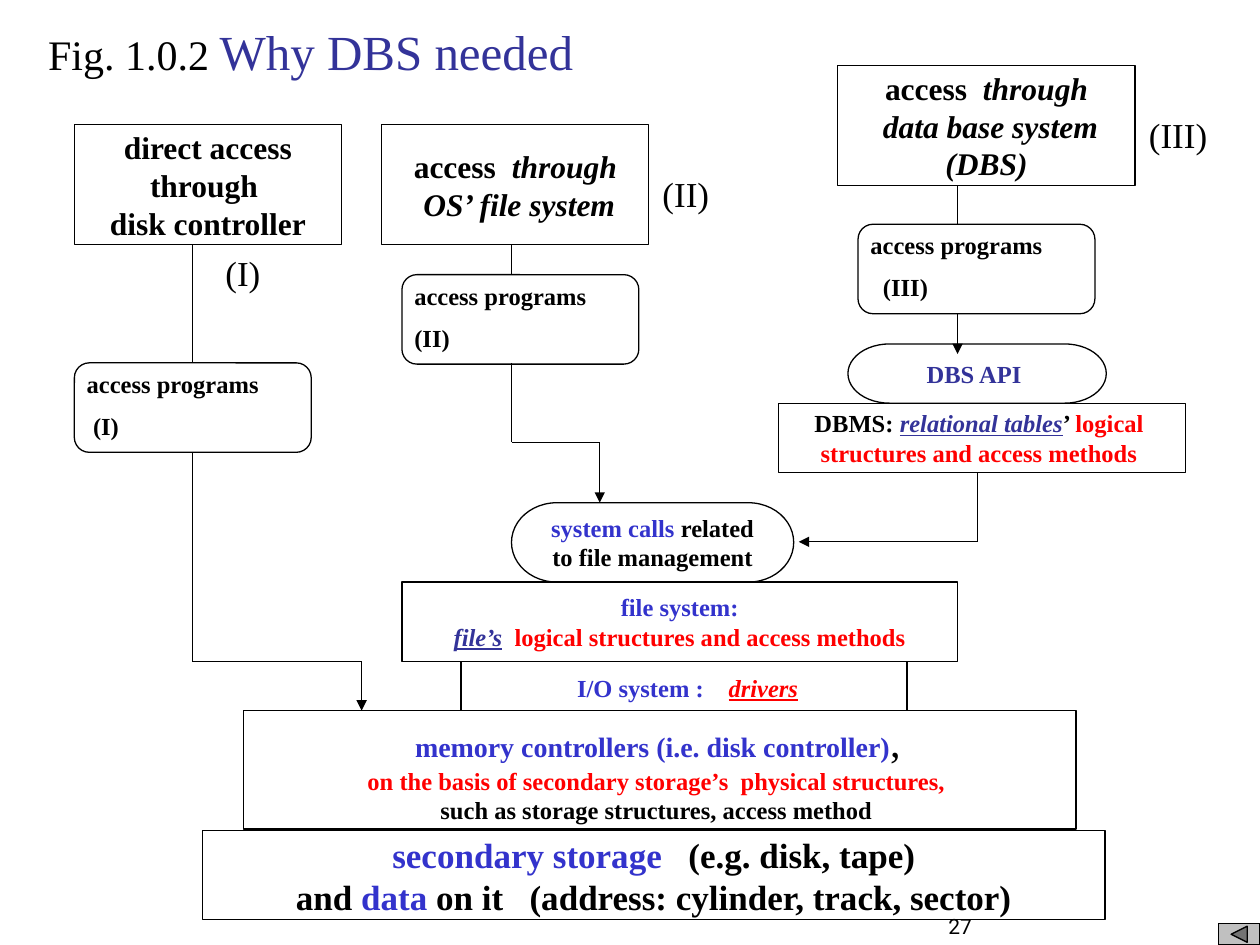
from dataclasses import dataclass

from lxml import etree
from pptx import Presentation
from pptx.dml.color import RGBColor
from pptx.enum.shapes import MSO_CONNECTOR, MSO_SHAPE
from pptx.enum.text import MSO_ANCHOR, MSO_AUTO_SIZE, PP_ALIGN
from pptx.oxml.ns import qn
from pptx.util import Inches, Pt

RECT, ROUND = MSO_SHAPE.RECTANGLE, MSO_SHAPE.ROUNDED_RECTANGLE
TERMINATOR = MSO_SHAPE.FLOWCHART_TERMINATOR
BACK_BUTTON = MSO_SHAPE.ACTION_BUTTON_BACK_OR_PREVIOUS
STRAIGHT = MSO_CONNECTOR.STRAIGHT
TOP, MIDDLE, BOTTOM = MSO_ANCHOR.TOP, MSO_ANCHOR.MIDDLE, MSO_ANCHOR.BOTTOM
LEFT, CENTER = PP_ALIGN.LEFT, PP_ALIGN.CENTER
TOP_SIDE, BOTTOM_SIDE = 0, 2


@dataclass(frozen=True)
class Theme:
    black: str = "000000"
    white: str = "FFFFFF"
    blue: str = "3333CC"
    navy: str = "333399"
    red: str = "FF0000"
    grey: str = "C0C0C0"
    font: str = "Times New Roman"
    number_font: str = "Roboto"
    title: int = 28
    figure: int = 24
    label: int = 20
    access: int = 18
    memory: int = 16
    layer: int = 14
    number: int = 12
    line: float = 0.75


T = Theme()
ITALIC = {"italic": True}
TERM = {"italic": True, "underline": True}


def inches(box):
    return [Inches(v) for v in box]


def fill_text(tf, paragraphs, size, bold=True, align=CENTER, anchor=MIDDLE, wrap=False):
    frame = {"word_wrap": wrap, "auto_size": MSO_AUTO_SIZE.NONE, "vertical_anchor": anchor}
    for name, value in frame.items():
        setattr(tf, name, value)
    for i, runs in enumerate(paragraphs):
        p = tf.paragraphs[0] if i == 0 else tf.add_paragraph()
        p.alignment = align
        for text, color, *extra in runs:
            r = p.add_run()
            r.text = text
            formats = {"name": T.font, "size": size, "bold": bold}
            formats.update(extra[0] if extra else {})
            formats["size"] = Pt(formats["size"])
            for name, value in formats.items():
                setattr(r.font, name, value)
            r.font.color.rgb = RGBColor.from_string(color)


def add_box(s, kind, box, paragraphs=(), size=T.layer, fill=None):
    sp = s.shapes.add_shape(kind, *inches(box))
    sp.shadow.inherit = False
    if fill:
        sp.fill.solid()
        sp.fill.fore_color.rgb = RGBColor.from_string(fill)
    else:
        sp.fill.background()
    sp.line.color.rgb = RGBColor.from_string(T.black)
    sp.line.width = Pt(T.line)
    fill_text(sp.text_frame, paragraphs, size)
    return sp


def add_text(s, box, paragraphs, size, **options):
    tf = s.shapes.add_textbox(*inches(box)).text_frame
    fill_text(tf, paragraphs, size, **options)
    return tf


def add_program(s, left, top, number, indent=0):
    sp = add_box(s, ROUND, (left, top, 1.88, 0.71))
    lines = [[("access programs", T.black)], [(number, T.black)]]
    tf = add_text(s, (left, top, 2.13, 0.68), lines, T.layer, align=LEFT, anchor=TOP, wrap=True)
    p = tf.paragraphs[1]
    p.space_before = Pt(T.layer / 2)
    p._p.get_or_add_pPr().set("marL", str(Inches(indent)))
    return sp


def add_route(s, points, arrow=False, start=None, end=None):
    for (x1, y1), (x2, y2) in zip(points, points[1:]):
        line = s.shapes.add_connector(STRAIGHT, *inches((x1, y1, x2, y2)))
        line.line.color.rgb = RGBColor.from_string(T.black)
        line.line.width = Pt(T.line)
        etree.SubElement(line._element.spPr, qn("a:effectLst"))
        if start and (x1, y1) == points[0]:
            line.begin_connect(start, BOTTOM_SIDE)
        if end and (x2, y2) == points[-1]:
            line.end_connect(end, TOP_SIDE)
    if arrow:
        etree.SubElement(line.line._get_or_add_ln(), qn("a:tailEnd"), type="triangle")


def add_title(s):
    sp = s.shapes.title
    sp.left, sp.top, sp.width, sp.height = inches((-0.17, 0, 5.27, 0.69))
    runs = [("Fig. 1.0.2 ", T.black, {"size": T.figure}), ("Why DBS needed", T.navy)]
    fill_text(sp.text_frame, [runs], T.title, bold=False, anchor=BOTTOM, wrap=True)


def add_layers(s):
    add_box(s, RECT, (1.61, 6.59, 7.16, 0.71), [
        [("secondary storage", T.blue), ("   (e.g. disk, tape)", T.black)],
        [("and ", T.black), ("data", T.blue),
         (" on it   (address: cylinder, track, sector)", T.black)],
    ], T.label, T.white)
    add_box(s, RECT, (1.93, 5.64, 6.61, 0.94), [
        [(" ", T.black, {"size": T.memory}),
         ("memory controllers (i.e. disk controller)", T.blue, {"size": T.memory}),
         (", ", T.black, {"size": T.figure, "bold": False})],
        [("on the basis of secondary storage’s  physical structures, ", T.red)],
        [("such as storage structures, access method ", T.black)],
    ], fill=T.white)
    add_box(s, RECT, (3.66, 5.25, 3.54, 0.39), [
        [(" ", T.black, {"size": T.memory}), ("I/O system :    ", T.blue),
         ("drivers", T.red, TERM)],
    ])
    add_box(s, RECT, (3.19, 4.62, 4.41, 0.63), [
        [("file system:", T.blue)],
        [("file’s", T.navy, TERM), ("  ", T.black),
         ("logical structures and access methods", T.red)],
    ])
    add_box(s, RECT, (6.18, 3.2, 3.23, 0.55), [
        [("DBMS: ", T.black), ("relational tables", T.navy, TERM),
         ("’ ", T.black), ("logical ", T.red)],
        [("structures and access methods ", T.red)],
    ])
    add_box(s, TERMINATOR, (4.06, 3.99, 2.24, 0.63), [
        [("system calls ", T.blue), ("related", T.black)],
        [(" to file management ", T.black)],
    ])
    add_box(s, TERMINATOR, (6.73, 2.73, 2.05, 0.47), [[("DBS API ", T.navy)]])


def add_access_ways(s):
    through = [("access  ", T.black), ("through", T.black, ITALIC)]
    ways = [
        ((0.59, 0.99, 2.12, 0.95),
         [[(text, T.black)] for text in ("direct access", "through ", "disk controller")],
         "(I)", (1.69, 1.95, 0.48, 0.43)),
        ((3.03, 0.99, 2.12, 0.95),
         [through, [(" OS’ file system", T.black, ITALIC)]],
         "(II)", (5.16, 1.32, 0.57, 0.43)),
        ((6.65, 0.52, 2.36, 0.95),
         [through, [(" data base system", T.black, ITALIC)], [("(DBS)", T.black, ITALIC)]],
         "(III)", (9.02, 0.85, 0.66, 0.43)),
    ]
    for box, paragraphs, number, label_box in ways:
        add_box(s, RECT, box, paragraphs, T.access, T.white)
        add_text(s, label_box, [[(number, T.black)]], T.label,
                 bold=False, align=LEFT, anchor=TOP)


def add_routes(s):
    program = add_program(s, 0.59, 2.88, "(I)", 0.05)
    add_program(s, 3.19, 2.18, "(II)")
    add_program(s, 6.81, 1.78, "(III)", 0.1)
    add_route(s, [(1.53, 1.94), (1.53, 2.88)], end=program)
    add_route(s, [(1.53, 3.59), (1.53, 5.25), (2.87, 5.25), (2.87, 5.64)], True, start=program)
    add_route(s, [(4.06, 1.94), (4.06, 2.18)])
    add_route(s, [(4.06, 2.88), (4.06, 3.51), (4.76, 3.51), (4.76, 3.99)], True)
    add_route(s, [(7.6, 1.47), (7.6, 1.78)])
    add_route(s, [(7.6, 2.49), (7.6, 2.81)], True)
    add_route(s, [(7.76, 3.75), (7.76, 4.3), (6.34, 4.3)], True)


def main():
    prs = Presentation()
    prs.slide_width, prs.slide_height = Inches(10), Inches(7.5)
    s = prs.slides.add_slide(prs.slide_layouts[5])
    add_title(s)
    add_layers(s)
    add_access_ways(s)
    add_routes(s)
    add_box(s, BACK_BUTTON, (9.67, 7.33, 0.33, 0.17), fill=T.grey)
    add_text(s, (6.58, 7, 2.08, 0.5), [[("27", T.black, {"name": T.number_font})]],
             T.number, bold=False, anchor=BOTTOM, wrap=True)
    prs.save("out.pptx")


if __name__ == "__main__":
    main()
